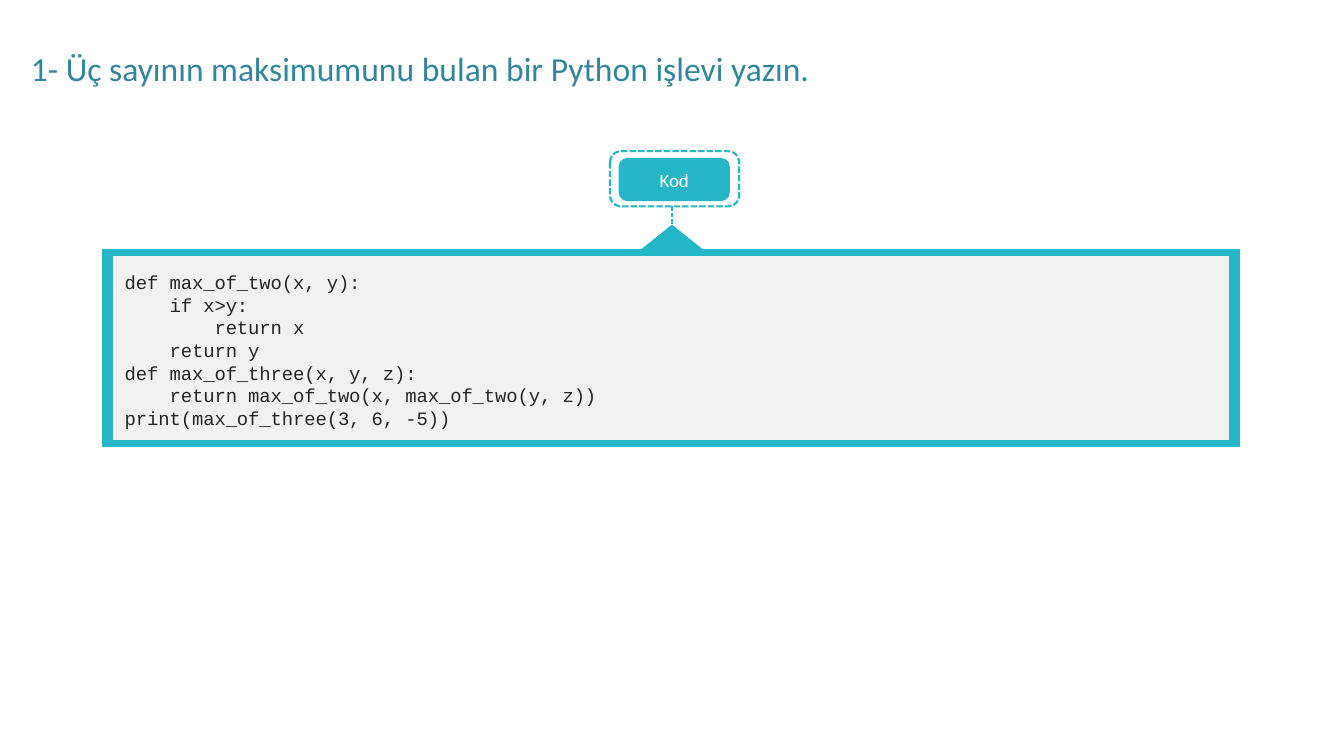
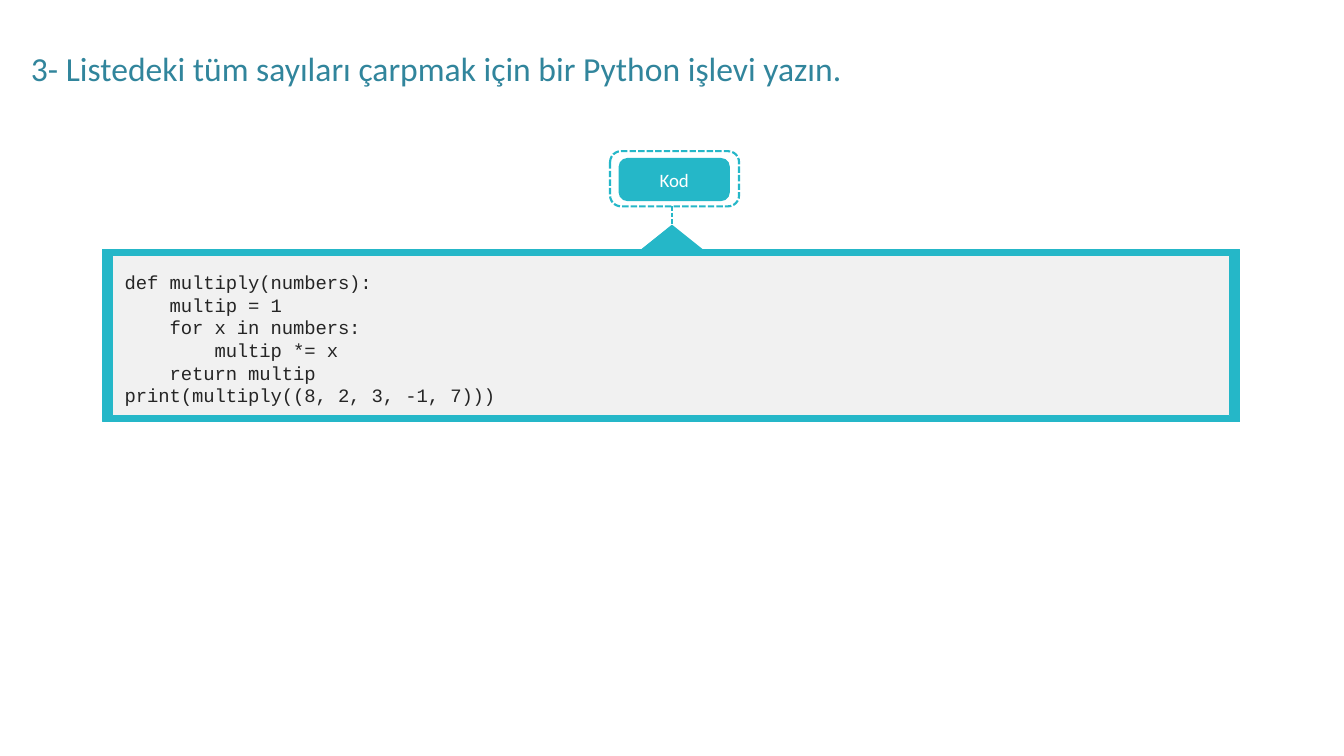
"""Build two slides, each showing a Python exercise and its code panel."""
import pptx
import pptx.util
import pptx.dml.color
import pptx.enum.dml
import pptx.enum.shapes
import pptx.enum.text
import pptx.oxml

TEAL, PALE, INK, WHITE, HEADING = "25B7C8", "F1F1F1", "252525", "FFFFFF", "31859C"
KINDS = pptx.enum.shapes.MSO_SHAPE
ALIGN = pptx.enum.text.PP_ALIGN
ANCHOR = pptx.enum.text.MSO_ANCHOR
DASH = pptx.enum.dml.MSO_LINE.SQUARE_DOT

TITLE_STYLE = {"name": "Calibri", "size": pptx.util.Pt(32), "bold": False}
LABEL_STYLE = {"name": "Calibri", "size": pptx.util.Pt(18)}
CODE_STYLE = {"name": "Courier New", "size": pptx.util.Pt(18)}
CODE_PARAGRAPH = {"space_before": pptx.util.Pt(0), "line_spacing": 1.0, "alignment": ALIGN.LEFT}
TITLE_FRAME = {"word_wrap": True, "vertical_anchor": ANCHOR.TOP,
               "auto_size": pptx.enum.text.MSO_AUTO_SIZE.NONE}
CODE_FRAME = TITLE_FRAME | {"margin_left": 0, "margin_right": 0, "margin_bottom": 0,
                            "margin_top": pptx.util.Inches(0.17)}
LABEL_FRAME = {"word_wrap": False, "vertical_anchor": ANCHOR.MIDDLE}

EXERCISES = [
    ("1- Üç sayının maksimumunu bulan bir Python işlevi yazın.",
     """def max_of_two(x, y):
    if x>y:
        return x
    return y
def max_of_three(x, y, z):
    return max_of_two(x, max_of_two(y, z))
print(max_of_three(3, 6, -5))"""),
    ("3- Listedeki tüm sayıları çarpmak için bir Python işlevi yazın.",
     """def multiply(numbers):
    multip = 1
    for x in numbers:
        multip *= x
    return multip
print(multiply((8, 2, 3, -1, 7)))"""),
]

deck = pptx.Presentation()
deck.slide_width = pptx.util.Inches(17.78)
deck.slide_height = pptx.util.Inches(10)
column, row = deck.slide_width / 100, deck.slide_height / 100


def color(value):
    """Turn a hex string into a colour."""
    return pptx.dml.color.RGBColor.from_string(value)


def write(box, lines, frame_format, para_format, style, ink, spacing=0):
    """Fill a box with one formatted paragraph per line."""
    for name, value in frame_format.items():
        setattr(box.text_frame, name, value)
    for number, line in enumerate(lines):
        para = box.text_frame.paragraphs[0] if number == 0 else box.text_frame.add_paragraph()
        for name, value in para_format.items():
            setattr(para, name, value)
        span = para.add_run()
        span.text = line
        for name, value in style.items():
            setattr(span.font, name, value)
        span.font.color.rgb = color(ink)
        span.font._element.set("spc", str(spacing))


for question, code in EXERCISES:
    page = deck.slides.add_slide(deck.slide_layouts[1])
    title, body = page.placeholders
    lines = code.split("\n")
    panel_height = 3 + 3.3 * len(lines)

    shapes = {}
    for name, kind, left, top, width, height, fill, line, weight in [
        ("frame", KINDS.ROUNDED_RECTANGLE, 45.39, 20, 9.6, 7.3, None, TEAL, 2.04),
        ("label", KINDS.ROUNDED_RECTANGLE, 46.03, 20.9, 8.27, 5.7, TEAL, None, 0),
        ("pointer", KINDS.ISOSCELES_TRIANGLE, 47.75, 29.8, 4.5, 3.2, TEAL, TEAL, 0.96),
        ("panel", KINDS.RECTANGLE, 7.65, 33, 84.6, panel_height, TEAL, TEAL, 0.96),
        ("screen", KINDS.RECTANGLE, 8.38, 33.8, 83.13, panel_height - 1.6, PALE, TEAL, 0.96),
    ]:
        box = page.shapes.add_shape(kind, int(left * column), int(top * row),
                                    int(width * column), int(height * row))
        box.shadow.inherit = False
        for paint, value in ((box.fill, fill), (box.line.fill, line)):
            if value:
                paint.solid()
                paint.fore_color.rgb = color(value)
            else:
                paint.background()
        if line:
            box.line.width = pptx.util.Pt(weight)
        if kind == KINDS.ROUNDED_RECTANGLE:
            box.adjustments[0] = 0.2
        shapes[name] = box

    shapes["frame"].line.dash_style = DASH
    write(shapes["label"], ["Kod"], LABEL_FRAME, {"alignment": ALIGN.CENTER},
          LABEL_STYLE, WHITE, -10)

    stem = page.shapes.add_connector(pptx.enum.shapes.MSO_CONNECTOR.STRAIGHT,
                                     int(50 * column), int(27.3 * row),
                                     int(50 * column), int(29.8 * row))
    stem.line.color.rgb = color(TEAL)
    stem.line.width = pptx.util.Pt(1.5)
    stem.line.dash_style = DASH
    stem._element.spPr.append(pptx.oxml.parse_xml(
        '<a:effectLst xmlns:a="http://schemas.openxmlformats.org/drawingml/2006/main"/>'))

    for holder, left, top, width, height in [
        (title, 1.74, 5.8, 95.6, 6.4),
        (body, 4.05, 34.1, 89.03, 1.9 + 3 * len(lines)),
    ]:
        holder.left, holder.top = int(left * column), int(top * row)
        holder.width, holder.height = int(width * column), int(height * row)
        page.shapes._spTree.append(holder._element)

    write(title, [question], TITLE_FRAME, {"alignment": ALIGN.LEFT}, TITLE_STYLE, HEADING)
    write(body, lines, CODE_FRAME, CODE_PARAGRAPH, CODE_STYLE, INK, -10)
    for para in body.text_frame.paragraphs:
        settings = para._p.get_or_add_pPr()
        settings.set("marL", str(pptx.util.Inches(0.93)))
        settings.set("indent", "0")
        settings.append(pptx.oxml.parse_xml(
            '<a:buNone xmlns:a="http://schemas.openxmlformats.org/drawingml/2006/main"/>'))

deck.save("out.pptx")
